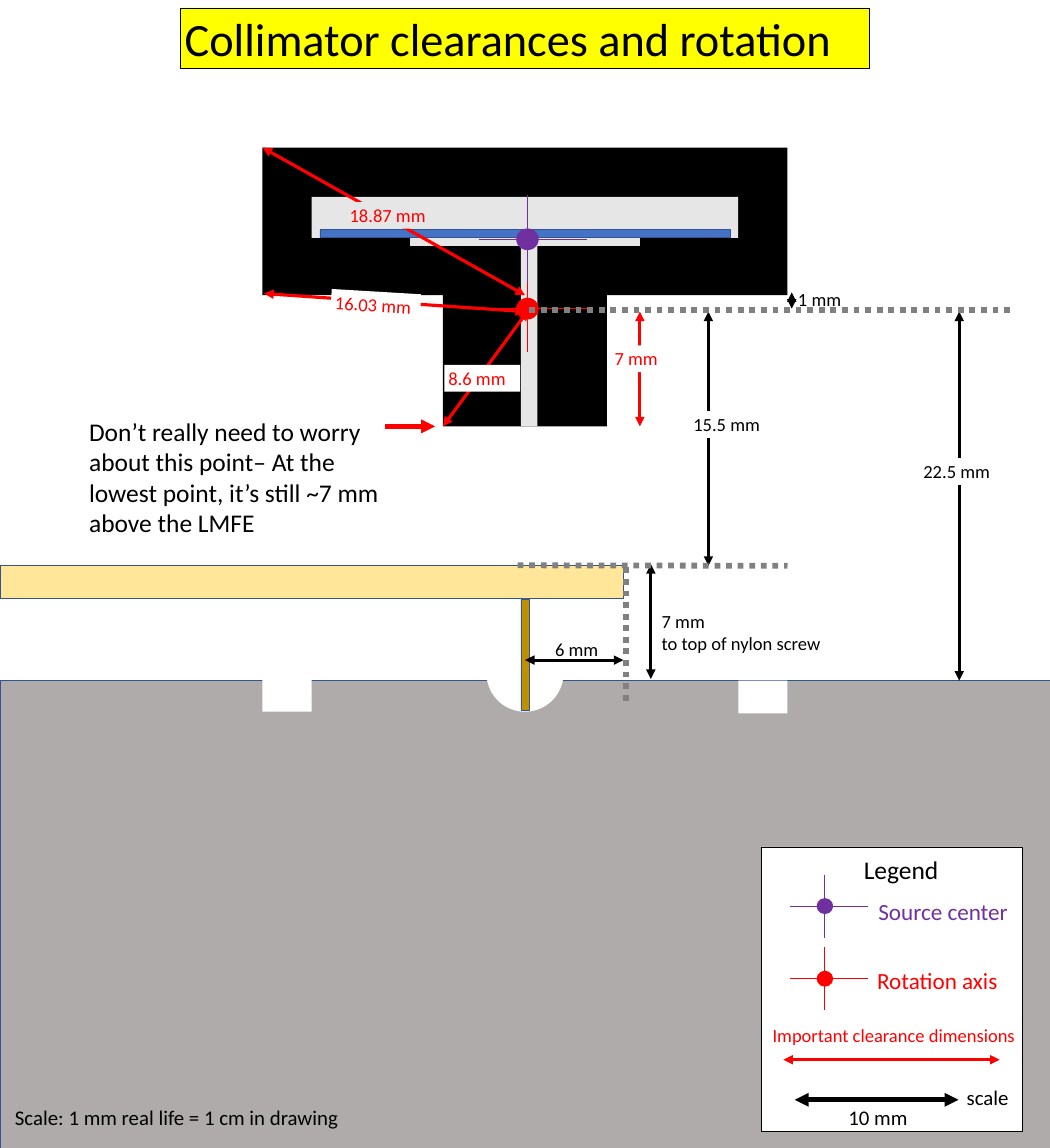
from lxml import etree
from pptx import Presentation
from pptx.dml.color import RGBColor
from pptx.enum.dml import MSO_LINE
from pptx.enum.shapes import MSO_CONNECTOR, MSO_SHAPE
from pptx.enum.text import MSO_ANCHOR, MSO_AUTO_SIZE, PP_ALIGN
from pptx.oxml.ns import qn
from pptx.util import Cm, Pt

RECT, OVAL = MSO_SHAPE.RECTANGLE, MSO_SHAPE.OVAL
STRAIGHT, DOTTED = MSO_CONNECTOR.STRAIGHT, MSO_LINE.ROUND_DOT
BLACK = RGBColor(0x00, 0x00, 0x00)
WHITE = RGBColor(0xFF, 0xFF, 0xFF)
RED = RGBColor(0xFF, 0x00, 0x00)
PURPLE = RGBColor(0x70, 0x30, 0xA0)
YELLOW = RGBColor(0xFF, 0xFF, 0x00)
SILVER = RGBColor(0xE7, 0xE6, 0xE6)
GRAY = RGBColor(0x80, 0x80, 0x80)
STONE = RGBColor(0xAF, 0xAB, 0xAB)
CREAM = RGBColor(0xFF, 0xE6, 0x99)
BRASS = RGBColor(0xBF, 0x90, 0x00)
BLUE = RGBColor(0x44, 0x72, 0xC4)
NAVY = RGBColor(0x32, 0x54, 0x91)
FONT = "Calibri"

# The grid is the drawing's own scale: one cell is 1 cm, or 1 mm in real life.
COLUMNS, ROWS = 64, 70
AXIS_Y, BOARD_Y, BASE_Y = 19, 34.5, 41.5

deck = Presentation()
deck.slide_width, deck.slide_height = Cm(COLUMNS), Cm(ROWS)
page = deck.slides.add_slide(deck.slide_layouts[5])


def draw_shape(kind, place, fill, outline=None, width=1):
    shape = page.shapes.add_shape(kind, *map(Cm, place))
    shape.shadow.inherit = False
    shape.fill.solid()
    shape.fill.fore_color.rgb = fill
    if outline is None:
        shape.line.fill.background()
    else:
        shape.line.color.rgb = outline
        shape.line.width = Pt(width)


def draw_line(ends, color, width, dash=None, arrows=()):
    """Draw between two grid points; arrows lists headEnd and/or tailEnd."""
    connector = page.shapes.add_connector(STRAIGHT, *map(Cm, ends))
    connector.line.color.rgb = color
    connector.line.width = Pt(width)
    if dash is not None:
        connector.line.dash_style = dash
    properties = connector.element.spPr
    for arrow in arrows:
        etree.SubElement(properties.find(qn("a:ln")), qn(f"a:{arrow}"), type="triangle")
    etree.SubElement(properties, qn("a:effectLst"))


# Title
title = page.shapes.title
title.left, title.top, title.width, title.height = map(Cm, (11, 0.48, 42, 3.68))
title.fill.solid()
title.fill.fore_color.rgb = YELLOW
title.line.color.rgb = BLACK
title.line.width = Pt(0.75)
frame = title.text_frame
frame.auto_size = MSO_AUTO_SIZE.NONE
frame.word_wrap = True
frame.vertical_anchor = MSO_ANCHOR.TOP
para = frame.paragraphs[0]
para.alignment = PP_ALIGN.LEFT
para.line_spacing = 1.0
span = para.add_run()
span.text = "Collimator clearances and rotation"
span.font.name, span.font.size = FONT, Pt(80)
span.font.color.rgb = BLACK

# Base with notches, board, screw, collimator and legend frame
for kind, place, fill, outline in (
    (RECT, (0, BASE_Y, COLUMNS, ROWS - BASE_Y), STONE, NAVY),
    (RECT, (45, BASE_Y, 3, 2), WHITE, None),
    (RECT, (16, 41.4, 3, 2), WHITE, None),
    (OVAL, (29.65, 38.7, 4.7, 4.7), WHITE, None),
    (RECT, (0, BOARD_Y, 38, 2), CREAM, NAVY),
    (RECT, (31.75, 36.52, 0.5, 6.8), BRASS, NAVY),
    (RECT, (16, 9, 32, 9), BLACK, None),
    (RECT, (27, 18, 10, 8), BLACK, None),
    (RECT, (19, 12, 26, 2.5), SILVER, None),
    (RECT, (25, 14.5, 14, 0.5), SILVER, None),
    (RECT, (31.75, 15, 1, 11), SILVER, None),
    (RECT, (19.5, 14, 25, 0.5), BLUE, NAVY),
    (RECT, (46.43, 51.64, 15.88, 17.32), WHITE, BLACK),
):
    draw_shape(kind, place, fill, outline)

# Crosshairs on the collimator and, smaller, in the legend
for x, y, color, scale in (
    (32.15, 18.82, RED, 1),
    (32.15, 14.59, PURPLE, 1),
    (50.28, 59.68, RED, 0.72),
    (50.28, 55.25, PURPLE, 0.72),
):
    dot_width, dot_height = 1.3 * scale, 1.25 * scale
    arm, rise = 3.3 * scale, 2.67 * scale
    middle = x + 0.33 * scale
    draw_shape(OVAL, (x - dot_width / 2, y - dot_height / 2, dot_width, dot_height),
               color, color, 2)
    draw_line((x, y - rise, x, y + rise), color, 2)
    draw_line((middle - arm, y, middle + arm, y), color, 2)

# Dimension arrows
for ends, color, width in (
    ((32, 40.25, 38, 40.25), BLACK, 5.5),
    ((39.67, 34.4, 39.67, 41.4), BLACK, 5.5),
    ((58.47, AXIS_Y, 58.47, BASE_Y), BLACK, 5.5),
    ((43.18, AXIS_Y, 43.18, BOARD_Y), BLACK, 5.5),
    ((48.26, 17.83, 48.26, 18.82), BLACK, 5.5),
    ((16, 9, 32, 18), RED, 5.5),
    ((16.1, 17.9, 32, AXIS_Y), RED, 5.5),
    ((39, AXIS_Y, 39, 26), RED, 5.5),
    ((32.18, 18.95, 27, 26), RED, 5.5),
    ((60.93, 64.62, 47.75, 64.62), RED, 5.5),
    ((48.44, 67.06, 58.42, 67.06), BLACK, 8),
):
    draw_line(ends, color, width, arrows=("headEnd", "tailEnd"))
draw_line((23.47, 26, 26.52, 26), RED, 8, arrows=("tailEnd",))

# Dotted reference lines
for ends in (
    (31.55, 34.47, 48, BOARD_Y),
    (38.15, 34.6, 38.15, 42.8),
    (32.26, 18.92, 61.57, 18.92),
):
    draw_line(ends, GRAY, 10, DOTTED)

# Labels: lines, place, size, color, fill, wrap, rotation
NOTE = ("Don’t really need to worry about this point– At the lowest point, "
        "it’s still ~7 mm above the LMFE")
for lines, place, size, color, fill, wrap, rotation in (
    (("7 mm", "to top of nylon screw"), (40.08, 37.08, 15.14, 3), 32, BLACK, WHITE, True, 0),
    (("6 mm",), (33.58, 38.78, 4.42, 1.63), 32, BLACK, None, True, 0),
    (("22.5 mm",), (56.03, 27.94, 4.88, 1.63), 32, BLACK, WHITE, False, 0),
    (("15.5 mm",), (42.01, 25.07, 4.88, 1.63), 32, BLACK, WHITE, False, 0),
    (("1 mm",), (48.39, 17.45, 3.43, 1.63), 32, BLACK, None, False, 0),
    (("18.87 mm",), (21.06, 12.32, 5.46, 1.63), 32, RED, SILVER, False, 0),
    (("16.03 mm",), (20.17, 17.78, 5.46, 1.63), 32, RED, WHITE, False, 3.4),
    (("7 mm",), (37.21, 21.06, 3.43, 1.63), 32, RED, WHITE, False, 0),
    (("8.6 mm",), (27.08, 22.25, 4.62, 1.63), 32, RED, WHITE, True, 0),
    ((NOTE,), (5.18, 25.22, 18.97, 7.77), 44, BLACK, None, True, 0),
    (("Scale: 1 mm real life = 1 cm in drawing",), (0.66, 67.26, 20.4, 1.8), 36, BLACK,
     None, False, 0),
    (("Legend",), (52.4, 51.94, 5.1, 2.13), 44, BLACK, None, False, 0),
    (("Source center",), (53.29, 54.61, 8.48, 1.96), 40, PURPLE, None, False, 0),
    (("Rotation axis",), (53.21, 58.83, 7.92, 1.96), 40, RED, None, False, 0),
    (("Important clearance dimensions",), (46.84, 62.31, 15.44, 1.63), 32, RED, None, False, 0),
    (("10 mm",), (51.46, 67.26, 4.14, 1.8), 36, BLACK, None, False, 0),
    (("scale",), (58.67, 66.04, 3.1, 1.8), 36, BLACK, None, False, 0),
):
    box = page.shapes.add_textbox(*map(Cm, place))
    box.rotation = rotation
    if fill is not None:
        box.fill.solid()
        box.fill.fore_color.rgb = fill
    frame = box.text_frame
    frame.word_wrap = wrap
    frame.auto_size = MSO_AUTO_SIZE.SHAPE_TO_FIT_TEXT
    para = frame.paragraphs[0]
    for number, line in enumerate(lines):
        if number:
            para.add_line_break()
        span = para.add_run()
        span.text = line
        span.font.name, span.font.size = FONT, Pt(size)
        span.font.color.rgb = color

deck.save("out.pptx")
